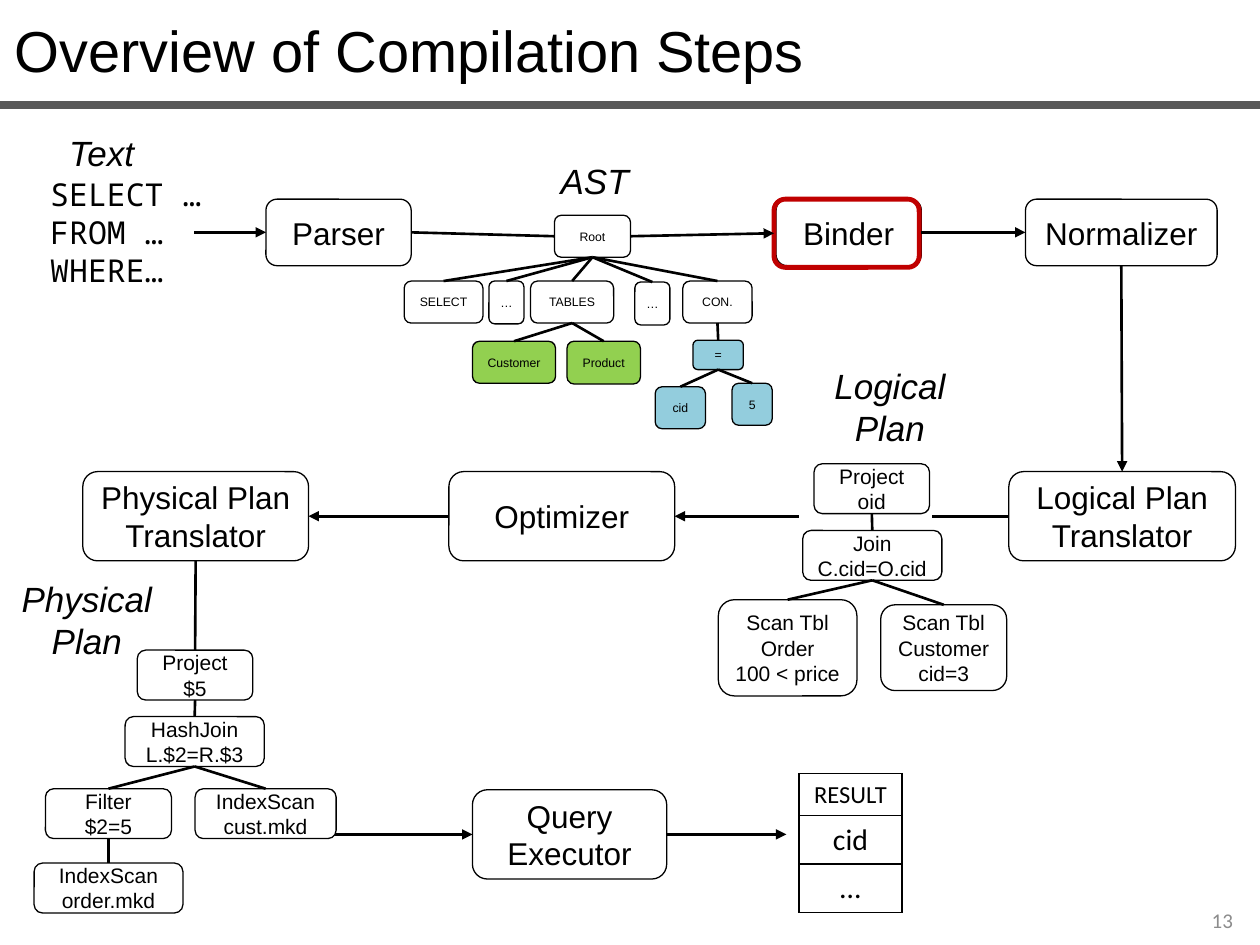
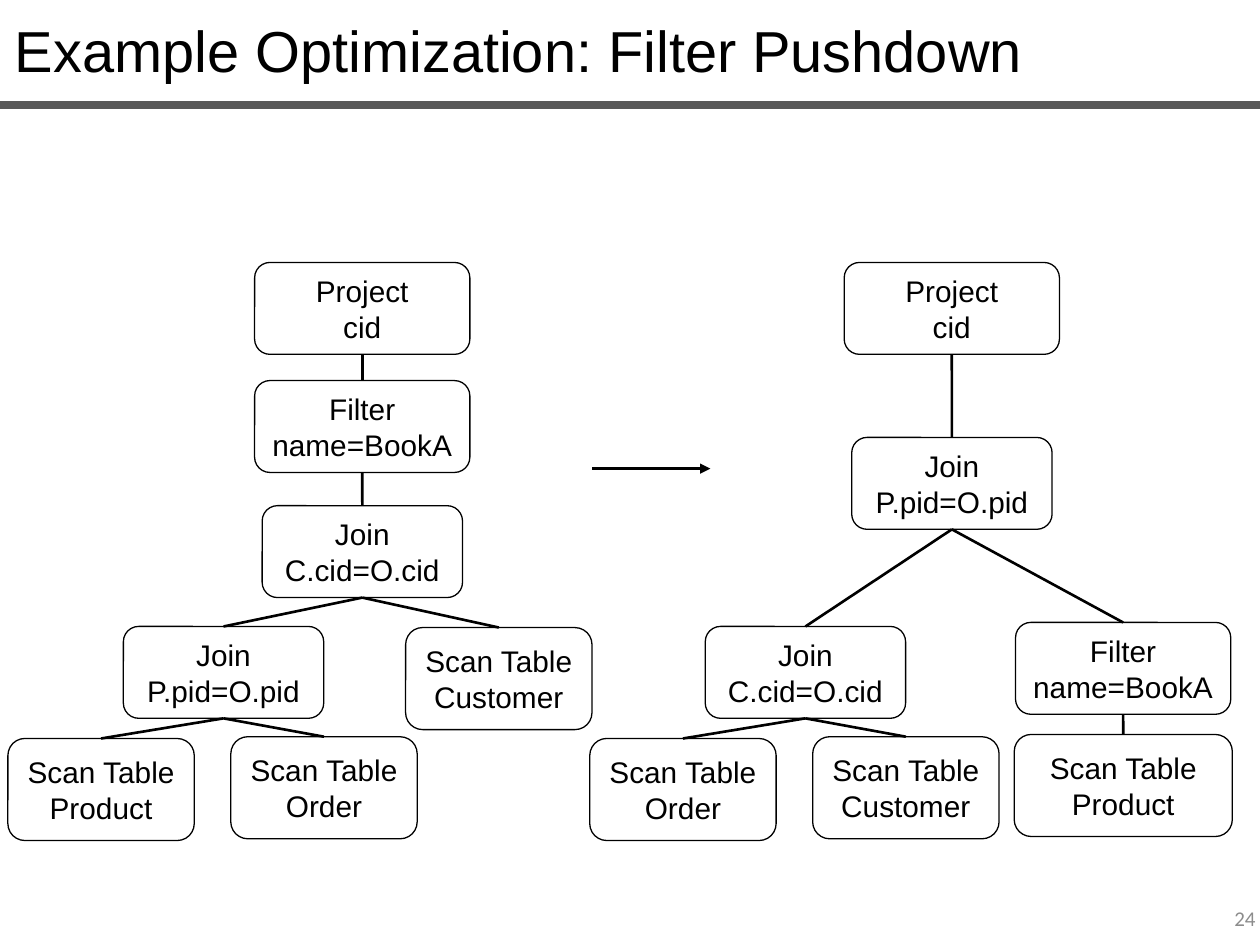
from dataclasses import dataclass

from lxml.etree import SubElement
from pptx import Presentation
from pptx.dml.color import RGBColor
from pptx.enum.shapes import MSO_CONNECTOR, MSO_SHAPE
from pptx.enum.text import MSO_ANCHOR, PP_ALIGN
from pptx.oxml.ns import qn
from pptx.util import Pt


@dataclass(frozen=True)
class Theme:
    black: str = "000000"
    white: str = "FFFFFF"
    rule: str = "595959"
    page_number: str = "8C8C8C"
    table_node: str = "92D050"
    condition_node: str = "93CDDD"
    highlight: str = "C00000"
    sans: str = "Arial"
    mono: str = "Noto Sans Mono"
    small_sans: str = "Calibri"
    title_size: float = 33
    label_size: float = 20
    stage_size: float = 18
    example_size: float = 17
    plan_size: float = 12
    ast_size: float = 7
    header_size: float = 14
    outline: float = 0.75
    link: float = 1.5


THEME = Theme()
WIDTH, HEIGHT = 720, 540
TOP, LEFT, BOTTOM, RIGHT = range(4)


@dataclass(frozen=True)
class Node:
    """A tree node; its box is relative to the tree's origin."""
    text: str
    left: float
    top: float
    width: float
    height: float
    fill: str | None = None
    children: tuple = ()


def rgb(color):
    return RGBColor.from_string(color)


def write(frame, text, size, font=THEME.sans, color=THEME.black,
          align=PP_ALIGN.LEFT, italic=False, spacing=None):
    """Fill a text frame with one paragraph for each line of text."""
    frame.word_wrap = True
    for index, line in enumerate(text.split("\n")):
        paragraph = frame.add_paragraph() if index else frame.paragraphs[0]
        paragraph.alignment = align
        if spacing:
            paragraph.line_spacing = spacing
        run = paragraph.add_run()
        run.text = line
        run.font.size = Pt(size)
        run.font.name = font
        run.font.italic = italic
        run.font.color.rgb = rgb(color)


def add_label(slide, box, text, size, anchor=MSO_ANCHOR.TOP, **style):
    label = slide.shapes.add_textbox(*map(Pt, box))
    label.text_frame.vertical_anchor = anchor
    write(label.text_frame, text, size, **style)


def add_box(slide, box, text="", size=THEME.stage_size, fill=None,
            line=THEME.black, weight=THEME.outline):
    rounded = slide.shapes.add_shape(MSO_SHAPE.ROUNDED_RECTANGLE, *map(Pt, box))
    rounded.shadow.inherit = False
    if fill:
        rounded.fill.solid()
        rounded.fill.fore_color.rgb = rgb(fill)
    else:
        rounded.fill.background()
    rounded.line.color.rgb = rgb(line)
    rounded.line.width = Pt(weight)
    if text:
        frame = rounded.text_frame
        frame.margin_left = frame.margin_right = 0
        frame.margin_top = frame.margin_bottom = 0
        frame.vertical_anchor = MSO_ANCHOR.MIDDLE
        write(frame, text, size, align=PP_ALIGN.CENTER)
    return rounded


def add_link(slide, start, end, arrow=False, color=THEME.black, weight=THEME.link):
    """Join two ends, each an (x, y) point or a (shape, side) pair."""
    def is_joined(place):
        return hasattr(place[0], "left")

    points = [(0, 0) if is_joined(place) else place for place in (start, end)]
    connector = slide.shapes.add_connector(
        MSO_CONNECTOR.STRAIGHT, *(Pt(value) for point in points for value in point))
    if is_joined(start):
        connector.begin_connect(*start)
    if is_joined(end):
        connector.end_connect(*end)
    connector.line.color.rgb = rgb(color)
    connector.line.width = Pt(weight)
    if arrow:
        SubElement(connector.line._get_or_add_ln(), qn("a:tailEnd"), type="triangle")
    SubElement(connector._element.spPr, qn("a:effectLst"))


def add_tree(slide, origin, node, size):
    """Draw a node and its descendants, and return the node's shape."""
    box = (origin[0] + node.left, origin[1] + node.top, node.width, node.height)
    parent = add_box(slide, box, node.text, size, node.fill)
    for child in node.children:
        add_link(slide, (parent, BOTTOM), (add_tree(slide, origin, child, size), TOP))
    return parent


def add_page(deck, title, number, number_box):
    slide = deck.slides.add_slide(deck.slide_layouts[6])
    add_label(slide, (1.5, 5, WIDTH, 47.5), title, THEME.title_size)
    add_link(slide, (0, 60), (WIDTH, 60), color=THEME.rule, weight=4.5)
    add_label(slide, number_box, number, 12, MSO_ANCHOR.MIDDLE,
              font=THEME.small_sans, color=THEME.page_number, align=PP_ALIGN.RIGHT)
    return slide


def add_ast(slide, origin):
    condition = THEME.condition_node
    tables = (Node("Customer", 39, 72, 47.5, 24, THEME.table_node),
              Node("Product", 93, 72, 42, 24.5, THEME.table_node))
    operands = (Node("cid", 143.4, 98, 28.8, 24, condition),
                Node("5", 187.3, 96, 23, 24, condition))
    equals = Node("=", 165, 71.4, 28.8, 16.8, condition, operands)
    root = Node("Root", 85.8, 0, 43.5, 24, children=(
        Node("SELECT", 0, 37.6, 45, 24),
        Node("…", 48.4, 37.6, 20, 24.5),
        Node("TABLES", 72.2, 37.6, 47.5, 24, children=tables),
        Node("…", 131.8, 38.2, 20, 24.5),
        Node("CON.", 159.2, 37.6, 39.6, 24, children=(equals,))))
    return add_tree(slide, origin, root, THEME.ast_size)


def add_logical_plan(slide, origin):
    scans = (Node("Scan Tbl\nOrder\n100 < price", 0, 77.7, 79.2, 55, THEME.white),
             Node("Scan Tbl\nCustomer\ncid=3", 92.8, 80.6, 72, 49, THEME.white))
    join = Node("Join\nC.cid=O.cid", 48.2, 38.1, 79.5, 28.5, children=scans)
    project = Node("Project\noid", 54.7, 0, 66, 28.5, children=(join,))
    add_tree(slide, origin, project, THEME.plan_size)


def add_physical_plan(slide, origin):
    height = 28.5
    order = Node("IndexScan\norder.mkd", 0, 121.7, 85, height, THEME.white)
    inputs = (Node("Filter\n$2=5", 6.5, 79.2, 72, height, children=(order,)),
              Node("IndexScan cust.mkd", 92, 79.2, 80.6, height, THEME.white))
    join = Node("HashJoin\nL.$2=R.$3", 52, 38, 79.5, height, children=inputs)
    project = Node("Project\n$5", 59, 0, 66, height, children=(join,))
    return add_tree(slide, origin, project, THEME.plan_size)


def set_borders(cell):
    properties = cell._tc.get_or_add_tcPr()
    for index, side in enumerate(("lnL", "lnR", "lnT", "lnB")):
        border = properties.makeelement(qn(f"a:{side}"), {"w": str(Pt(1))})
        fill = SubElement(border, qn("a:solidFill"))
        SubElement(fill, qn("a:srgbClr"), val=THEME.black)
        properties.insert(index, border)


def add_result(slide, box):
    rows = (("RESULT", THEME.header_size, 24), ("cid", THEME.example_size, 27.6),
            ("…", THEME.example_size, 27.6))
    result = slide.shapes.add_table(len(rows), 1, *map(Pt, box)).table
    result.first_row = result.horz_banding = False
    for index, (text, size, height) in enumerate(rows):
        result.rows[index].height = Pt(height)
        cell = result.cell(index, 0)
        cell.fill.background()
        set_borders(cell)
        write(cell.text_frame, text, size, THEME.small_sans, align=PP_ALIGN.CENTER)


def add_stages(slide):
    """Draw the compilation stages and return them by name."""
    rows = ((113.8, 38, (("Parser", 152, 83), ("Binder", 443.5, 83),
                         ("Normalizer", 586, 109.5))),
            (269.5, 51, (("Logical Plan Translator", 576.5, 129.5),
                         ("Optimizer", 256.5, 129),
                         ("Physical Plan Translator", 47.3, 129))),
            (451.3, 51, (("Query Executor", 270, 111),)))
    return {name: add_box(slide, (left, top, width, height), name)
            for top, height, row in rows for name, left, width in row}


def build_overview(deck):
    slide = add_page(deck, "Overview of Compilation Steps", "13",
                     (543.6, 511.5, 168, 28.8))
    add_label(slide, (21.6, 96.5, 106.5, 73), "SELECT …\nFROM …\nWHERE…",
              THEME.stage_size, font=THEME.mono)
    stages = add_stages(slide)
    parser, binder, normalizer = (stages[name] for name in
                                  ("Parser", "Binder", "Normalizer"))
    logical = stages["Logical Plan Translator"]
    optimizer = stages["Optimizer"]
    physical = stages["Physical Plan Translator"]
    executor = stages["Query Executor"]

    ast_root = add_ast(slide, (231, 123))
    current_step = add_box(slide, (442.3, 113.8, 83, 39), line=THEME.highlight,
                           weight=2.75)
    output_y = 476.8
    add_link(slide, (183.7, output_y), (executor, LEFT), arrow=True)
    physical_root = add_physical_plan(slide, (19.5, 371.5))
    add_logical_plan(slide, (410.5, 265))

    plan_y = 295
    for start, end, arrow in (
            ((111, 132.8), (parser, LEFT), True),
            ((parser, RIGHT), (ast_root, LEFT), False),
            ((ast_root, RIGHT), (current_step, LEFT), True),
            ((binder, RIGHT), (normalizer, LEFT), True),
            ((normalizer, BOTTOM), (logical, TOP), True),
            ((logical, LEFT), (532.3, plan_y), False),
            ((456.5, plan_y), (optimizer, RIGHT), True),
            ((optimizer, LEFT), (physical, RIGHT), True),
            ((physical, BOTTOM), (physical_root, TOP), False),
            ((executor, RIGHT), (449.3, output_y), True)):
        add_link(slide, start, end, arrow)
    add_result(slide, (456.5, 442, 59, 79.2))

    for text, box, style in (
            ("AST", (313.2, 75.6, 58.3, 39), {"spacing": 1.5}),
            ("Text", (32.4, 59.8, 58.3, 39), {"spacing": 1.5}),
            ("Logical Plan", (448.5, 204.5, 120, 55.5), {"align": PP_ALIGN.CENTER}),
            ("Physical Plan", (5, 326.2, 89.3, 55.5), {"align": PP_ALIGN.CENTER})):
        add_label(slide, box, text, THEME.label_size, italic=True, **style)


def unary(text, left, top, *children):
    return Node(text, left, top, 123, 52.5, children=children)


def join(condition, left, top, *children):
    return Node(f"Join\n{condition}", left, top, 114.5, 52.5, children=children)


def scan(table, left, top, width=106.5):
    return Node(f"Scan Table\n{table}", left, top, width, 58.3, THEME.white)


def lower_join(condition, left_table, right_table):
    """The join of two scans at the lower left of both plans."""
    return join(condition, 66, 208, scan(left_table, 0, 272),
                scan(right_table, 127.4, 271))


def add_plan_before(slide, origin):
    top_join = join("C.cid=O.cid", 145.3, 139,
                    lower_join("P.pid=O.pid", "Product", "Order"),
                    scan("Customer", 227.3, 208.6))
    book_filter = unary("Filter\nname=BookA", 141, 67.5, top_join)
    add_tree(slide, origin, unary("Project\ncid", 141, 0, book_filter),
             THEME.example_size)


def add_plan_after(slide, origin):
    book_filter = unary("Filter\nname=BookA", 243.3, 205.7,
                        scan("Product", 242.6, 269.7, 124.6))
    top_join = join("P.pid=O.pid", 149.7, 100,
                    lower_join("C.cid=O.cid", "Order", "Customer"), book_filter)
    add_tree(slide, origin, unary("Project\ncid", 145.4, 0, top_join),
             THEME.example_size)


def build_pushdown(deck):
    slide = add_page(deck, "Example Optimization: Filter Pushdown", "24",
                     (556.5, 510.5, 168, 28.8))
    add_plan_before(slide, (4.5, 150))
    add_plan_after(slide, (337, 150))
    add_link(slide, (338.4, 267.8), (406, 267.8), arrow=True)


def main():
    deck = Presentation()
    deck.slide_width, deck.slide_height = Pt(WIDTH), Pt(HEIGHT)
    build_overview(deck)
    build_pushdown(deck)
    deck.save("out.pptx")


if __name__ == "__main__":
    main()
